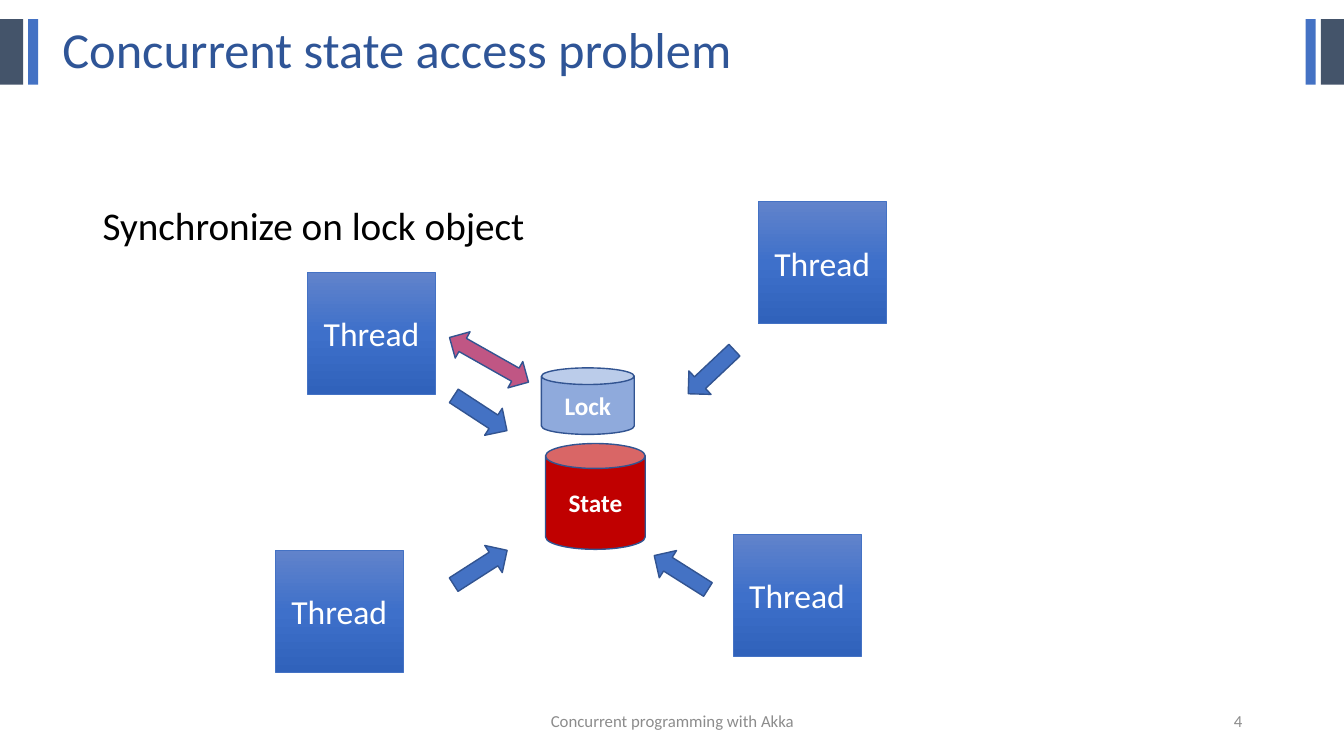
from copy import deepcopy

from pptx import Presentation
from pptx.dml.color import RGBColor
from pptx.enum.shapes import MSO_SHAPE
from pptx.enum.text import MSO_ANCHOR, PP_ALIGN
from pptx.oxml.ns import qn
from pptx.util import Inches, Pt

RECTANGLE = MSO_SHAPE.RECTANGLE
CAN = MSO_SHAPE.CAN
RIGHT_ARROW = MSO_SHAPE.RIGHT_ARROW
DOUBLE_ARROW = MSO_SHAPE.LEFT_RIGHT_ARROW
TOP, MIDDLE = MSO_ANCHOR.TOP, MSO_ANCHOR.MIDDLE
LEFT, CENTER, RIGHT = PP_ALIGN.LEFT, PP_ALIGN.CENTER, PP_ALIGN.RIGHT

FONT = "Calibri"
PAGE_WIDTH, PAGE_HEIGHT = 13.33, 7.5
COLORS = {
    "title": "2F5597",
    "body": "000000",
    "footer": "8C8C8C",
    "white": "FFFFFF",
    "slate": "44546A",
    "blue": "4472C4",
    "outline": "325491",
    "lock": "8FAADC",
    "state": "C00000",
    "handshake": "C05684",
}
THREAD_GRADIENT = [(0, "6183CB"), (50, "3E70CA"), (100, "3062BB")]
THREAD_CORNERS = [(3.05, 2.7), (2.73, 5.46), (7.52, 2), (7.27, 5.3)]
ARROWS = [
    (4.45, 3.94, 33.2),
    (6.74, 3.53, 136.7),
    (6.44, 5.52, 212.3),
    (4.45, 5.47, 327.3),
]


def color(name):
    return RGBColor.from_string(COLORS[name])


def write(frame, text, size, ink, align, anchor, bold=False):
    frame.word_wrap = True
    frame.vertical_anchor = anchor
    para = frame.paragraphs[0]
    para.text = text
    para.alignment = align
    para.font.name = FONT
    para.font.size = Pt(size)
    para.font.bold = bold
    para.font.color.rgb = color(ink)
    return para


def add_text(page, place, text, size, ink, align=LEFT, anchor=MIDDLE):
    box = page.shapes.add_textbox(*map(Inches, place))
    return write(box.text_frame, text, size, ink, align, anchor)


def add_block(page, kind, place, fill, outline=None, weight=1, turn=0):
    block = page.shapes.add_shape(kind, *map(Inches, place))
    block.shadow.inherit = False
    block.rotation = turn
    block.fill.solid()
    block.fill.fore_color.rgb = color(fill)
    if outline:
        block.line.color.rgb = color(outline)
        block.line.width = Pt(weight)
    else:
        block.line.fill.background()
    return block


def add_side_bars(page):
    for left, width, fill in [(0, 0.23, "slate"), (0.28, 0.1, "blue")]:
        for start in (left, PAGE_WIDTH - left - width):
            add_block(page, RECTANGLE, (start, 0.19, width, 0.65), fill)


def add_thread(page, left, top):
    block = add_block(page, RECTANGLE, (left, top, 1.27, 1.21), "blue", "blue", 0.5)
    block.fill.gradient()
    block.fill.gradient_angle = 270
    stop_list = block._element.spPr.find(qn("a:gradFill")).find(qn("a:gsLst"))
    stop_list.insert(1, deepcopy(stop_list[0]))
    for stop, (percent, shade) in zip(block.fill.gradient_stops, THREAD_GRADIENT):
        stop.position = percent / 100
        stop.color.rgb = RGBColor.from_string(shade)
    write(block.text_frame, "Thread", 24, "white", CENTER, MIDDLE)


def add_can(page, place, fill, label):
    can = add_block(page, CAN, place, fill, "outline")
    write(can.text_frame, label, 18, "white", CENTER, MIDDLE, bold=True)


def main():
    deck = Presentation()
    deck.slide_width = Inches(PAGE_WIDTH)
    deck.slide_height = Inches(PAGE_HEIGHT)
    page = deck.slides.add_slide(deck.slide_layouts[6])

    title = add_text(page, (0.52, 0.17, 12.13, 0.69),
                     "Concurrent state access problem", 36, "title")
    title.line_spacing = 0.9
    body = add_text(page, (0.92, 2, 11.5, 0.64),
                    "Synchronize on lock object", 28, "body", anchor=TOP)
    body.line_spacing = 0.9
    body.space_before = Pt(10)
    add_text(page, (4.42, 6.95, 4.5, 0.4),
             "Concurrent programming with Akka", 12, "footer", CENTER)
    add_text(page, (9.42, 6.95, 3, 0.4), "4", 12, "footer", RIGHT)

    add_side_bars(page)
    for left, top in THREAD_CORNERS:
        add_thread(page, left, top)
    add_can(page, (5.37, 3.65, 0.92, 0.66), "lock", "Lock")
    add_can(page, (5.41, 4.4, 0.99, 1.05), "state", "State")
    add_block(page, DOUBLE_ARROW, (4.4, 3.42, 0.9, 0.3), "handshake", "outline", turn=29.5)
    for left, top, turn in ARROWS:
        add_block(page, RIGHT_ARROW, (left, top, 0.63, 0.32), "blue", "outline", turn=turn)

    deck.save("out.pptx")


if __name__ == "__main__":
    main()
